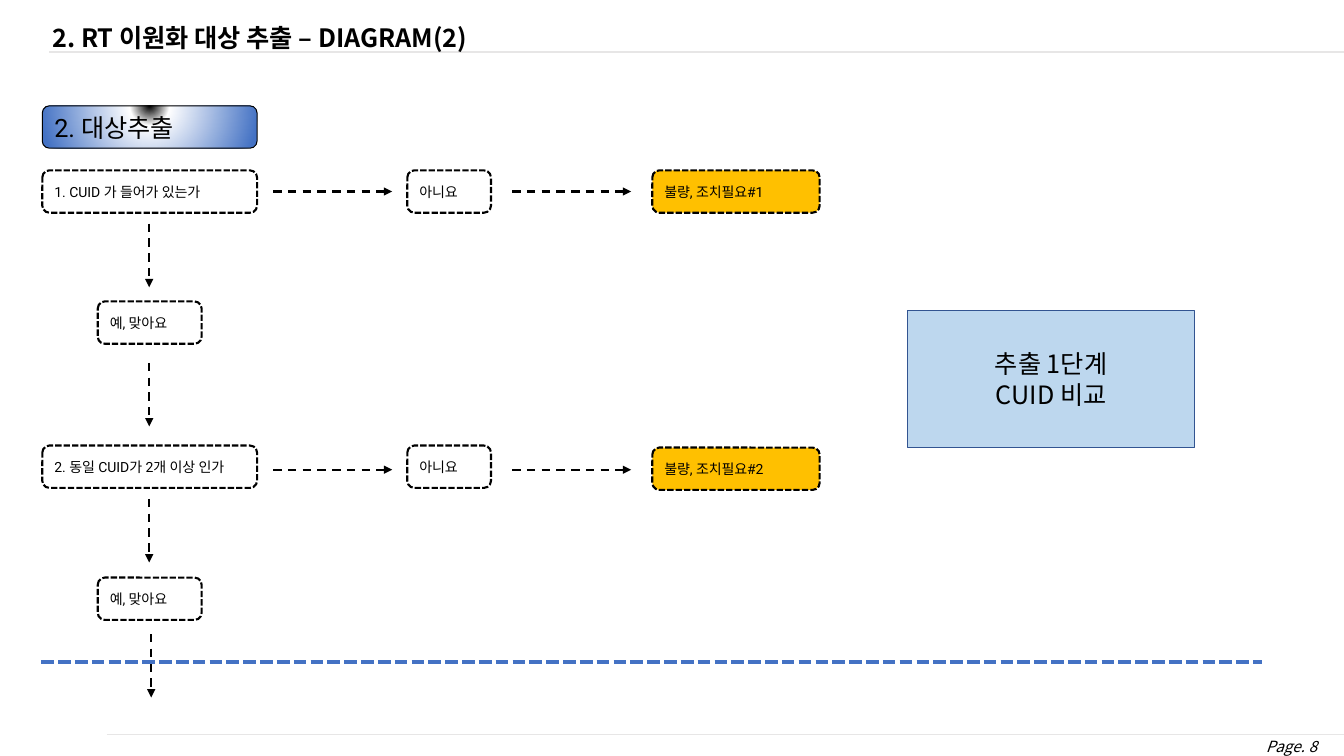
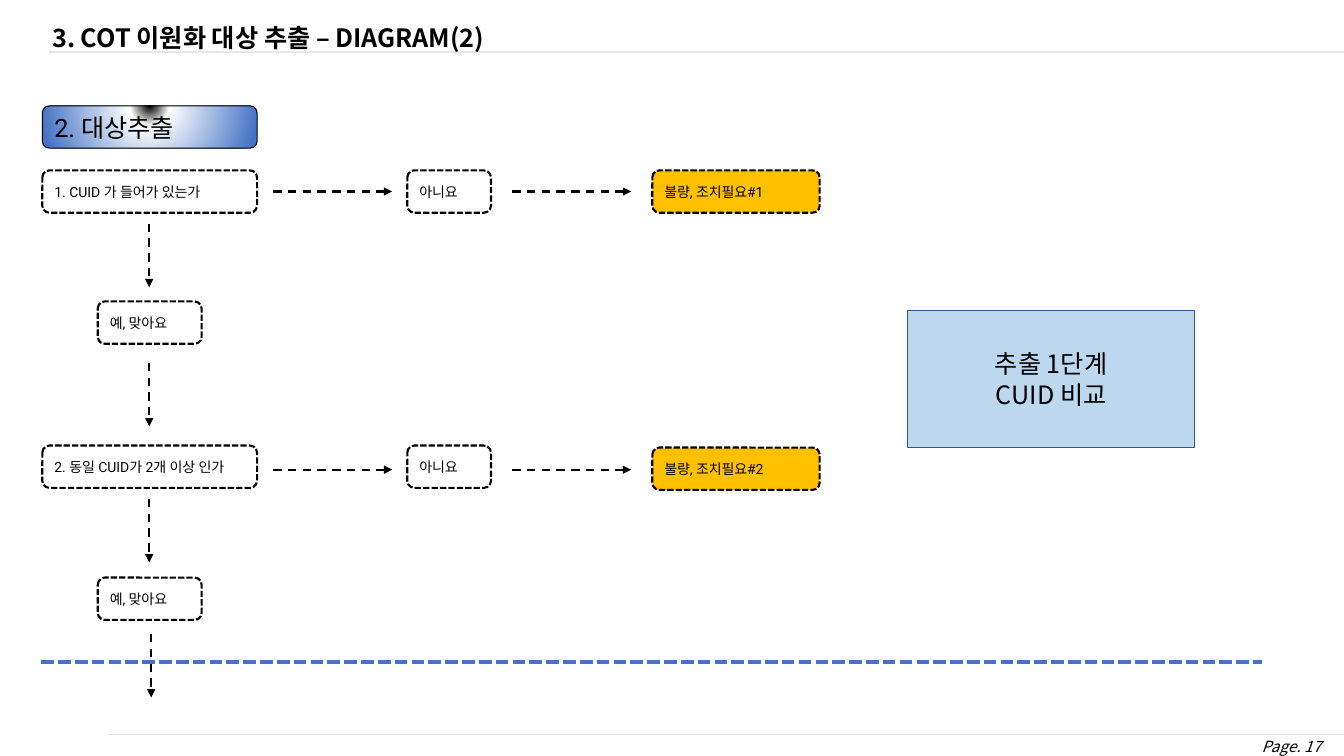
"""Builds the two extraction-diagram slides, which share one flow chart."""
from dataclasses import dataclass

import lxml.etree
import pptx
import pptx.dml.color
import pptx.enum.dml
import pptx.enum.shapes
import pptx.enum.text
import pptx.oxml.ns
import pptx.util

SHAPE = pptx.enum.shapes.MSO_SHAPE
DASH = pptx.enum.dml.MSO_LINE
ALIGN = pptx.enum.text.PP_ALIGN
ANCHOR = pptx.enum.text.MSO_ANCHOR


@dataclass(frozen=True)
class Theme:
    ink: str = "000000"
    paper: str = "FFFFFF"
    rule: str = "E7E6E6"
    accent: str = "4472C4"
    fault: str = "FFC000"
    stage: str = "BDD7EE"
    stage_edge: str = "325491"
    title_font: str = "Noto Sans CJK KR"
    flow_font: str = "Roboto"
    large: int = 18
    small: int = 10
    page: int = 11


THEME = Theme()
PX_PER_INCH = 100
SLIDE_SIZE = (1333, 750)

SLIDES = [
    ("2. RT 이원화 대상 추출 – DIAGRAM(2)", "Page. 8", 468),
    ("3. COT 이원화 대상 추출 – DIAGRAM(2)", "Page. 17", 487),
]
HEADING = "2. 대상추출"
NO, YES = "아니요", "예, 맞아요"
STEPS = [
    {"question": "1. CUID 가 들어가 있는가", "fault": "불량, 조치필요#1",
     "top": 169, "fault_top": 169, "arrow_y": 190, "yes_top": 299},
    {"question": "2. 동일 CUID가 2개 이상 인가", "fault": "불량, 조치필요#2",
     "top": 442, "fault_top": 444, "arrow_y": 466, "yes_top": 573},
]
STAGE = ["추출 1단계", "CUID 비교"]

QUESTION_X, QUESTION_W = 42, 213
NO_X, NO_W = 404, 83
FAULT_X, FAULT_W = 647, 166
YES_X, YES_W = 97, 103
BOX_H = 42
ACROSS_STARTS, ACROSS_LENGTH = (271, 508), 118
DOWN_STARTS, DOWN_LENGTH = ((148, 222), (148, 360), (148, 495), (150, 629)), 63


def px(length):
    return pptx.util.Emu(round(length * 914400 / PX_PER_INCH))


def rgb(code):
    return pptx.dml.color.RGBColor.from_string(code)


def style_line(line, color, width, dash=None):
    line.color.rgb = rgb(color)
    line.width = pptx.util.Pt(width)
    if dash is not None:
        line.dash_style = dash


def write(frame, lines, font, size, align=ALIGN.LEFT, bold=False, italic=False, spacing=None):
    for index, line in enumerate(lines):
        paragraph = frame.paragraphs[0] if index == 0 else frame.add_paragraph()
        paragraph.alignment = align
        paragraph.line_spacing = spacing
        run = paragraph.add_run()
        run.text = line
        run.font.name, run.font.size = font, pptx.util.Pt(size)
        run.font.bold, run.font.italic = bold, italic
        run.font.color.rgb = rgb(THEME.ink)
        east_asian = lxml.etree.Element(pptx.oxml.ns.qn("a:ea"), typeface=font)
        run.font._element.find(pptx.oxml.ns.qn("a:latin")).addnext(east_asian)


def add_label(slide, left, top, width, height, text, size, inset=10, **style):
    frame = slide.shapes.add_textbox(px(left), px(top), px(width), px(height)).text_frame
    frame.word_wrap = False
    frame.auto_size = pptx.enum.text.MSO_AUTO_SIZE.SHAPE_TO_FIT_TEXT
    frame.margin_left = frame.margin_right = px(inset)
    frame.margin_top = frame.margin_bottom = px(5)
    write(frame, [text], THEME.title_font, size, **style)


def add_box(slide, left, top, width, height, lines, fill=THEME.paper, edge=THEME.ink,
            edge_width=1.5, dash=DASH.SQUARE_DOT, kind=SHAPE.ROUNDED_RECTANGLE,
            font=THEME.flow_font, size=THEME.small, align=ALIGN.LEFT):
    box = slide.shapes.add_shape(kind, px(left), px(top), px(width), px(height))
    box.shadow.inherit = False
    box.fill.solid()
    box.fill.fore_color.rgb = rgb(fill)
    style_line(box.line, edge, edge_width, dash)
    box.text_frame.vertical_anchor = ANCHOR.MIDDLE
    write(box.text_frame, lines, font, size, align)
    return box


def add_line(slide, start, end, color, width, dash=None, arrow=False):
    line = slide.shapes.add_connector(
        pptx.enum.shapes.MSO_CONNECTOR.STRAIGHT, *map(px, (*start, *end)))
    style_line(line.line, color, width, dash)
    properties = line._element.spPr
    if arrow:
        lxml.etree.SubElement(properties.find(pptx.oxml.ns.qn("a:ln")),
                              pptx.oxml.ns.qn("a:tailEnd"), type="triangle")
    lxml.etree.SubElement(properties, pptx.oxml.ns.qn("a:effectLst"))


def add_arrow(slide, start, across=0, down=0):
    end = (start[0] + across, start[1] + down)
    add_line(slide, start, end, THEME.ink, 1.5, DASH.DASH, arrow=True)


def fill_radial(box, stops, center):
    qn = pptx.oxml.ns.qn
    gradient = lxml.etree.Element(qn("a:gradFill"), rotWithShape="1")
    stop_list = lxml.etree.SubElement(gradient, qn("a:gsLst"))
    for percent, color in stops:
        stop = lxml.etree.SubElement(stop_list, qn("a:gs"), pos=str(percent * 1000))
        lxml.etree.SubElement(stop, qn("a:srgbClr"), val=color)
    circle = lxml.etree.SubElement(gradient, qn("a:path"), path="circle")
    x, y = center
    edges = {"l": x, "t": y, "r": 100 - x, "b": 100 - y}
    lxml.etree.SubElement(circle, qn("a:fillToRect"),
                          {side: str(percent * 1000) for side, percent in edges.items()})
    properties = box._element.spPr
    properties.replace(properties.find(qn("a:solidFill")), gradient)


def add_frame(slide, title, page, title_width):
    right = SLIDE_SIZE[0]
    add_line(slide, (49, 52), (right, 52), THEME.rule, 1.5)
    add_label(slide, 1244, 726, 74, 29, page, THEME.page, inset=6,
              align=ALIGN.CENTER, italic=True)
    add_line(slide, (106, 729), (right, 729), THEME.rule, 0.75)
    add_label(slide, 42, 11, title_width, 42, title, THEME.large, bold=True, spacing=1.2)


def add_flow(slide):
    heading = add_box(slide, QUESTION_X, 105, QUESTION_W, BOX_H, [HEADING],
                      edge_width=0.75, dash=None, size=THEME.large)
    fill_radial(heading, [(0, THEME.ink), (18, THEME.paper), (100, THEME.accent)], (50, -80))
    for step in STEPS:
        boxes = [
            (QUESTION_X, step["top"], QUESTION_W, step["question"], THEME.paper),
            (NO_X, step["top"], NO_W, NO, THEME.paper),
            (FAULT_X, step["fault_top"], FAULT_W, step["fault"], THEME.fault),
            (YES_X, step["yes_top"], YES_W, YES, THEME.paper),
        ]
        for left, top, width, text, fill in boxes:
            add_box(slide, left, top, width, BOX_H, [text], fill)
        for start in ACROSS_STARTS:
            add_arrow(slide, (start, step["arrow_y"]), across=ACROSS_LENGTH)
    for start in DOWN_STARTS:
        add_arrow(slide, start, down=DOWN_LENGTH)
    add_box(slide, 900, 308, 285, 136, STAGE, THEME.stage, THEME.stage_edge, 1, None,
            SHAPE.RECTANGLE, THEME.title_font, THEME.large, ALIGN.CENTER)
    add_line(slide, (41, 657), (1252, 657), THEME.accent, 3, DASH.SQUARE_DOT)


def main():
    deck = pptx.Presentation()
    deck.slide_width, deck.slide_height = map(px, SLIDE_SIZE)
    for title, page, title_width in SLIDES:
        slide = deck.slides.add_slide(deck.slide_layouts[6])
        add_frame(slide, title, page, title_width)
        add_flow(slide)
    deck.save("out.pptx")


if __name__ == "__main__":
    main()
